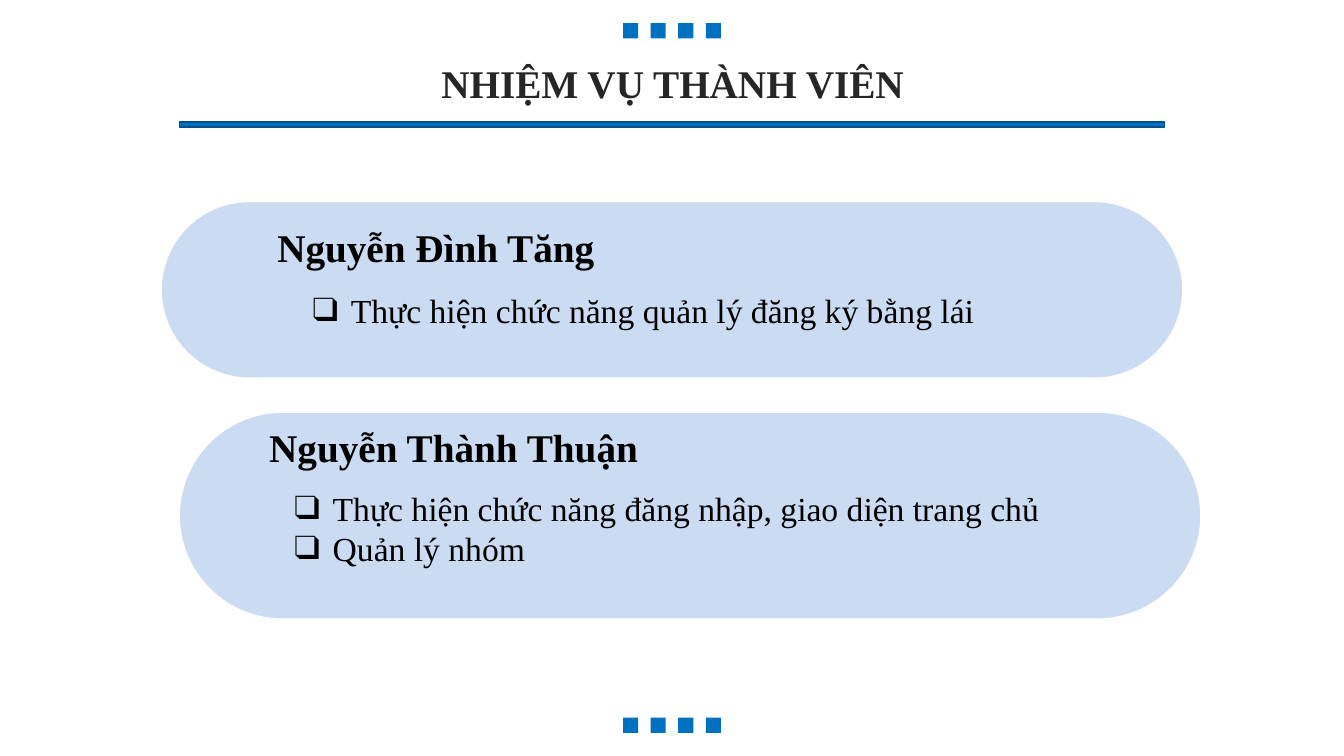
"""Build the slide that lists each team member's tasks."""
import dataclasses

import lxml.etree
import pptx
import pptx.dml.color
import pptx.enum.shapes
import pptx.enum.text
import pptx.oxml.ns
import pptx.util

Inches = pptx.util.Inches
Pt = pptx.util.Pt
SHAPES = pptx.enum.shapes.MSO_SHAPE
ALIGN = pptx.enum.text.PP_ALIGN
ANCHOR = pptx.enum.text.MSO_ANCHOR
qn = pptx.oxml.ns.qn

COLORS = {
    "accent": "0070C0",
    "rule_edge": "00518C",
    "panel": "558ED5",
    "white": "FFFFFF",
    "title": "262626",
    "text": "000000",
}
FONT = "Times New Roman"
TITLE_FONT = {"name": FONT, "size": Pt(28), "bold": True}
TASK_FONT = {"name": FONT, "size": Pt(24), "bold": False}
FRAME_FORMAT = {
    "auto_size": pptx.enum.text.MSO_AUTO_SIZE.NONE,
    "word_wrap": True,
    "vertical_anchor": ANCHOR.TOP,
}
LEFT_PARAGRAPH = {"alignment": ALIGN.LEFT, "space_before": Pt(0), "line_spacing": 1.0}
TITLE_PARAGRAPH = {"alignment": ALIGN.CENTER, "space_before": Pt(0), "line_spacing": 0.9}


@dataclasses.dataclass(frozen=True)
class Box:
    left: float
    top: float
    width: float
    height: float

    def lengths(self) -> tuple:
        return tuple(Inches(value) for value in dataclasses.astuple(self))


@dataclasses.dataclass(frozen=True)
class Member:
    name: str
    tasks: tuple[str, ...]
    panel: Box
    name_box: Box
    task_box: Box


MEMBERS = (
    Member(
        "Nguyễn Đình Tăng",
        ("Thực hiện chức năng quản lý đăng ký bằng lái",),
        Box(1.6, 2, 10.13, 1.75),
        Box(2.65, 2.17, 4.19, 0.57),
        Box(3, 2.83, 7.7, 0.5),
    ),
    Member(
        "Nguyễn Thành Thuận",
        ("Thực hiện chức năng đăng nhập, giao diện trang chủ", "Quản lý nhóm"),
        Box(1.78, 4.09, 10.13, 2.05),
        Box(2.57, 4.15, 4.19, 0.57),
        Box(2.82, 4.79, 7.7, 0.91),
    ),
)


def rgb(color: str) -> pptx.dml.color.RGBColor:
    return pptx.dml.color.RGBColor.from_string(COLORS[color])


def apply(target: object, values: dict) -> None:
    for attribute, value in values.items():
        setattr(target, attribute, value)


def add_block(slide, kind, box: Box, fill: str, edge: str = "", weight: float = 0):
    block = slide.shapes.add_shape(kind, *box.lengths())
    block.shadow.inherit = False
    block.fill.solid()
    block.fill.fore_color.rgb = rgb(fill)
    if edge:
        block.line.color.rgb = rgb(edge)
        block.line.width = Pt(weight)
    else:
        block.line.fill.background()
    return block


def add_panel(slide, box: Box) -> None:
    panel = add_block(slide, SHAPES.ROUNDED_RECTANGLE, box, "panel", "white", 0.75)
    panel.adjustments[0] = 0.5
    tint = panel.element.spPr.find(qn("a:solidFill"))[0]
    lxml.etree.SubElement(tint, qn("a:alpha"), val="30000")
    slide.shapes[0].element.addprevious(panel.element)


def set_bullet(paragraph, symbol: str) -> None:
    properties = paragraph._p.get_or_add_pPr()
    indent = Inches(0.38)
    properties.set("marL", str(indent))
    properties.set("indent", str(-indent))
    if symbol:
        lxml.etree.SubElement(properties, qn("a:buFont"), typeface=FONT)
        lxml.etree.SubElement(properties, qn("a:buChar"), char=symbol)


def fill_text(placeholder, box: Box, lines: tuple[str, ...], font: dict,
              paragraph_format: dict, color: str = "text", bullet: str = "") -> None:
    position = dict(zip(("left", "top", "width", "height"), box.lengths()))
    apply(placeholder, position)
    frame = placeholder.text_frame
    frame.text = "\n".join(lines)
    apply(frame, FRAME_FORMAT)
    for paragraph in frame.paragraphs:
        apply(paragraph, paragraph_format)
        if bullet:
            set_bullet(paragraph, bullet)
        for run in paragraph.runs:
            apply(run.font, font)
            run.font.color.rgb = rgb(color)


def main() -> None:
    deck = pptx.Presentation()
    apply(deck, {"slide_width": Inches(13.33), "slide_height": Inches(7.5)})
    slide = deck.slides.add_slide(deck.slide_layouts.get_by_name("Comparison"))
    title, *bodies = slide.placeholders

    fill_text(title, Box(0.34, 0.46, 12.66, 0.79), ("NHIỆM VỤ THÀNH VIÊN",),
              TITLE_FONT, TITLE_PARAGRAPH, "title")
    title.text_frame.vertical_anchor = ANCHOR.MIDDLE
    for member, heading, tasks in zip(MEMBERS, bodies[::2], bodies[1::2]):
        fill_text(heading, member.name_box, (member.name,), TITLE_FONT, LEFT_PARAGRAPH)
        fill_text(tasks, member.task_box, member.tasks, TASK_FONT, LEFT_PARAGRAPH, bullet="❑")
        add_panel(slide, member.panel)

    add_block(slide, SHAPES.FLOWCHART_PROCESS, Box(1.78, 1.21, 9.77, 0.05),
              "accent", "rule_edge", 1)
    for top in (0.23, 7.12):
        for column in range(4):
            square = Box(6.18 + column * 0.82 / 3, top, 0.15, 0.15)
            add_block(slide, SHAPES.RECTANGLE, square, "accent")
    deck.save("out.pptx")


if __name__ == "__main__":
    main()
